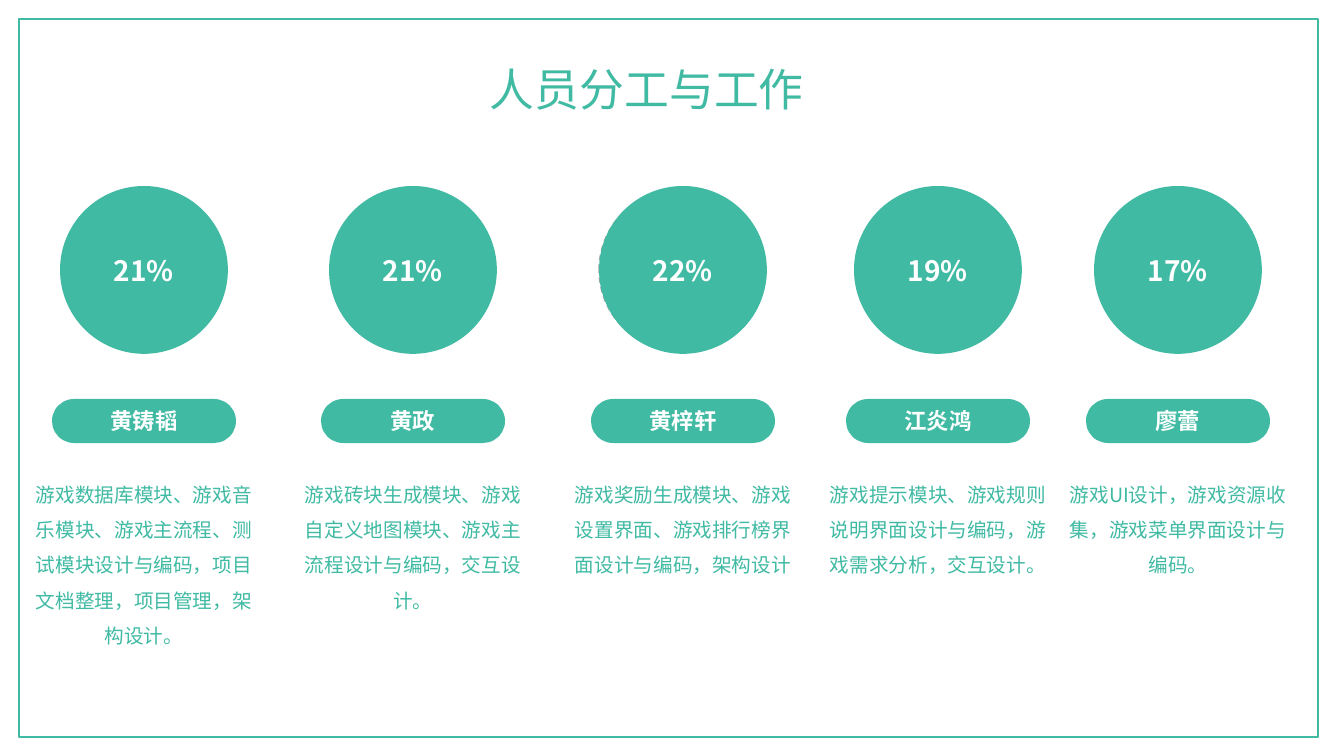
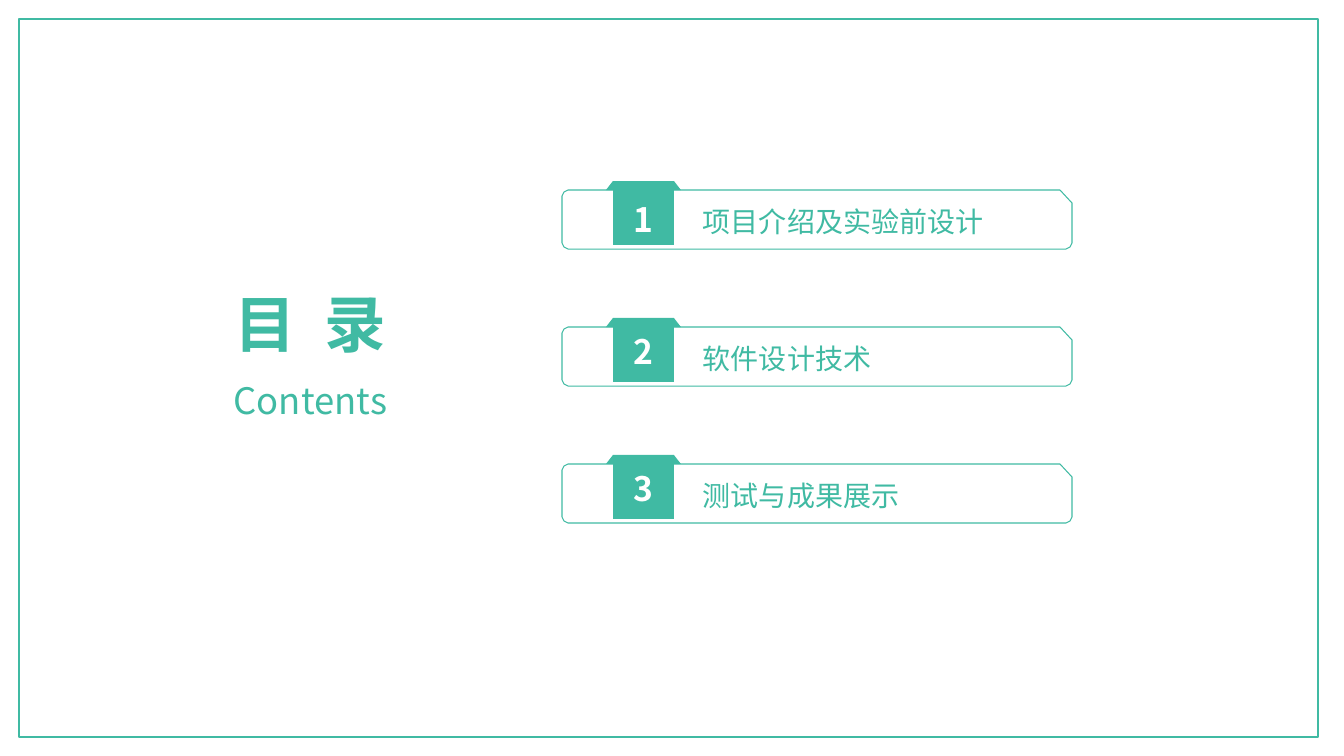
from dataclasses import dataclass
from math import ceil

from lxml import etree
from pptx import Presentation
from pptx.chart.data import CategoryChartData
from pptx.dml.color import RGBColor
from pptx.enum.chart import XL_CHART_TYPE
from pptx.enum.dml import MSO_LINE
from pptx.enum.shapes import MSO_SHAPE
from pptx.enum.text import MSO_ANCHOR, MSO_AUTO_SIZE, PP_ALIGN
from pptx.oxml.ns import qn
from pptx.util import Pt

PX = 914400 / 100.8


@dataclass(frozen=True)
class Theme:
    green: RGBColor = RGBColor(0x40, 0xBA, 0xA3)
    grey: RGBColor = RGBColor(0xA6, 0xA6, 0xA6)
    white: RGBColor = RGBColor(0xFF, 0xFF, 0xFF)
    font: str = "Noto Sans CJK SC"
    chart_font: str = "Calibri"
    cover: int = 44
    title: int = 32
    subtitle: int = 26
    number: int = 24
    label: int = 20
    name: int = 16
    body: int = 14
    chart: int = 10


T = Theme()


def place(s, kind, at, fill=None, line=None, width=1.0):
    """Add a preset shape, or a text box when kind is None, at px lengths."""
    at = [round(v * PX) for v in at]
    if kind is None:
        return s.shapes.add_textbox(*at)
    sp = s.shapes.add_shape(kind, *at)
    sp.shadow.inherit = False
    if fill is None:
        sp.fill.background()
    else:
        sp.fill.solid()
        sp.fill.fore_color.rgb = fill
    if line is None:
        sp.line.fill.background()
    else:
        sp.line.color.rgb = line
        sp.line.width = Pt(width)
    return sp


def write(sp, text, size, color=T.green, bold=False, align=PP_ALIGN.CENTER,
          anchor=MSO_ANCHOR.MIDDLE, inset=(10, 5)):
    tf = sp.text_frame
    tf.text = text
    tf.word_wrap = True
    tf.auto_size = MSO_AUTO_SIZE.NONE
    tf.vertical_anchor = anchor
    tf.margin_left = tf.margin_right = round(inset[0] * PX)
    tf.margin_top = tf.margin_bottom = round(inset[1] * PX)
    p = tf.paragraphs[0]
    p.alignment = align
    r = p.runs[0]
    r.font.name = T.font
    r.font.size = Pt(size)
    r.font.bold = bold
    r.font.color.rgb = color
    etree.SubElement(r.font._element, qn("a:ea"), typeface=T.font)
    return p


prs = Presentation()
prs.slide_width = round(1344 * PX)
prs.slide_height = round(756 * PX)

# Shared frame and title
TITLES = [
    ("人员分工与工作", (419, 56, 456, 65), T.title, False),
    ("目 录", (200, 280, 221, 85), T.cover, True),
]
for text, at, size, bold in TITLES:
    s = prs.slides.add_slide(prs.slide_layouts[5])
    place(s, MSO_SHAPE.RECTANGLE, (19, 19, 1299, 718), line=T.green, width=1.5)
    title = s.shapes.title
    title.left, title.top, title.width, title.height = [round(v * PX) for v in at]
    write(title, text, size, bold=bold)
team, contents = prs.slides

# Team: centre x, nudge of the dashed ring, share, name, duties
MEMBERS = [
    (144, 0, "21%", "黄铸韬", "游戏数据库模块、游戏音乐模块、游戏主流程、测试模块设计与编码，项目文档整理，项目管理，架构设计。"),
    (413, 0, "21%", "黄政", "游戏砖块生成模块、游戏自定义地图模块、游戏主流程设计与编码，交互设计。"),
    (683, -3, "22%", "黄梓轩", "游戏奖励生成模块、游戏设置界面、游戏排行榜界面设计与编码，架构设计"),
    (938, -2, "19%", "江炎鸿", "游戏提示模块、游戏规则说明界面设计与编码，游戏需求分析，交互设计。"),
    (1178, 0, "17%", "廖蕾", "游戏UI设计，游戏资源收集，游戏菜单界面设计与编码。"),
]
CENTRE_Y = 270
RING, DISC = 162, 123
CHART_W, CHART_H = 230, 196
PLOT_W, PLOT_H = 0.73, 0.86
PILL_W, BODY_W = 184, 237
CHARS_PER_LINE = 11

for x, nudge, share, name, duties in MEMBERS:
    ring = place(team, MSO_SHAPE.OVAL,
                 (x + nudge - RING / 2, CENTRE_Y - RING / 2, RING, RING), line=T.grey)
    ring.line.dash_style = MSO_LINE.DASH

    data = CategoryChartData()
    data.categories = ["1", "2"]
    data.add_series("Series 1", (100, 0))
    at = (x - CHART_W / 2, CENTRE_Y - CHART_H / 2, CHART_W, CHART_H)
    chart = team.shapes.add_chart(
        XL_CHART_TYPE.DOUGHNUT, *[round(v * PX) for v in at], data).chart
    chart.has_legend = False
    chart.has_title = False
    chart.font.name = T.chart_font
    chart.font.size = Pt(T.chart)
    plot = chart.plots[0]
    plot.vary_by_categories = False
    points = plot.series[0].points
    points[0].format.fill.solid()
    points[0].format.fill.fore_color.rgb = T.green
    points[1].format.fill.background()
    for i in range(2):
        points[i].format.line.fill.background()
    area = chart._chartSpace.find(".//" + qn("c:plotArea"))
    area.find(".//" + qn("c:holeSize")).set("val", "90")
    for old in area.findall(qn("c:layout")):
        area.remove(old)
    layout = etree.Element(qn("c:layout"))
    area.insert(0, layout)
    manual = etree.SubElement(layout, qn("c:manualLayout"))
    for tag, val in (("layoutTarget", "inner"), ("xMode", "edge"), ("yMode", "edge"),
                     ("x", (1 - PLOT_W) / 2), ("y", (1 - PLOT_H) / 2),
                     ("w", PLOT_W), ("h", PLOT_H)):
        etree.SubElement(manual, qn("c:" + tag), val=str(val))

    disc = place(team, MSO_SHAPE.OVAL,
                 (x - DISC / 2, CENTRE_Y - DISC / 2, DISC, DISC), fill=T.green)
    write(disc, share, T.label, T.white, bold=True)
    pill = place(team, MSO_SHAPE.ROUNDED_RECTANGLE,
                 (x - PILL_W / 2, 399, PILL_W, 44), fill=T.green)
    pill.adjustments[0] = 0.5
    write(pill, name, T.name, T.white, bold=True)
    lines = ceil(len(duties) / CHARS_PER_LINE)
    body = place(team, None, (x - BODY_W / 2, 466, BODY_W, 9 + 35 * lines))
    p = write(body, duties, T.body, anchor=MSO_ANCHOR.TOP)
    p.line_spacing = 1.5

# Contents
title_run = contents.shapes.title.text_frame.paragraphs[0].runs[0]
title_run.font._element.set("spc", "500")
write(place(contents, None, (200, 373, 221, 54)), "Contents", T.subtitle)

# Chapter, and drop of its number below the panel's top
CHAPTERS = [("项目介绍及实验前设计", 6), ("软件设计技术", 1), ("测试与成果展示", 1)]
PANEL = [(6, 0), (498, 0), (510, 13), (510, 53), (508, 57), (504, 59),
         (6, 59), (2, 57), (0, 53), (0, 6), (2, 2)]
TAB = [(51, -9), (112, -9), (119, 0), (44, 0)]
LEFT, TOP, PITCH = 562, 190, 137
INSET = (6, 3)

for i, (chapter, drop) in enumerate(CHAPTERS):
    y = TOP + i * PITCH
    for outline in (PANEL, TAB):
        corners = [(LEFT + dx, y + dy) for dx, dy in outline]
        builder = contents.shapes.build_freeform(*corners[0], scale=PX)
        builder.add_line_segments(corners[1:], close=True)
        sp = builder.convert_to_shape()
        sp.shadow.inherit = False
        if outline is TAB:
            sp.fill.solid()
            sp.fill.fore_color.rgb = T.green
            sp.line.fill.background()
        else:
            sp.fill.background()
            sp.line.color.rgb = T.green
            sp.line.width = Pt(0)
    place(contents, MSO_SHAPE.RECTANGLE, (LEFT + 51, y - 7, 61, 62), fill=T.green)
    number = place(contents, MSO_SHAPE.RECTANGLE, (LEFT + 60, y + drop, 42, 46), fill=T.green)
    write(number, str(i + 1), T.number, T.white, bold=True,
          anchor=MSO_ANCHOR.TOP, inset=INSET)
    label = place(contents, None, (LEFT + 135, y + 11, 300, 39))
    write(label, chapter, T.label, align=PP_ALIGN.LEFT,
          anchor=MSO_ANCHOR.TOP, inset=INSET)

prs.save("out.pptx")
